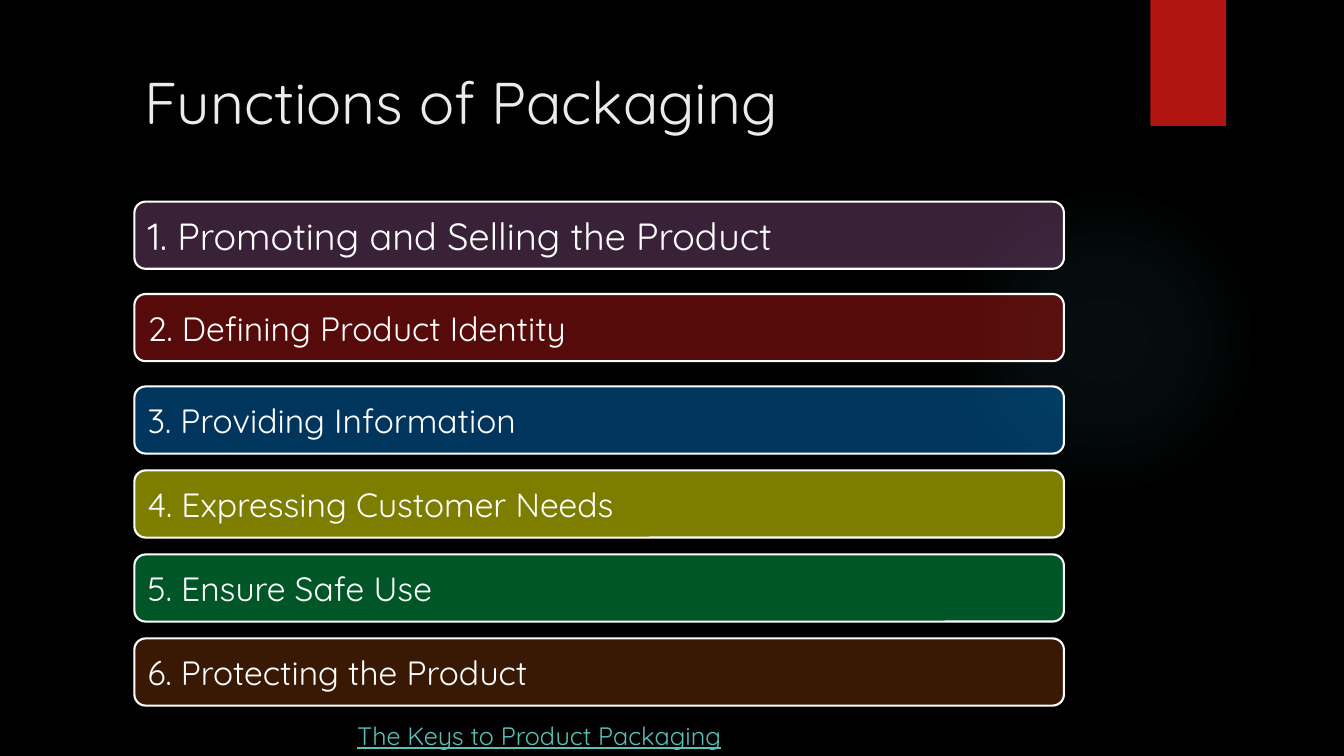
from pptx import Presentation
from pptx.dml.color import RGBColor
from pptx.enum.shapes import MSO_SHAPE
from pptx.enum.text import MSO_ANCHOR, PP_ALIGN
from pptx.oxml import parse_xml
from pptx.oxml.ns import nsdecls, qn
from pptx.util import Pt

OVAL, RECT, ROUNDED = MSO_SHAPE.OVAL, MSO_SHAPE.RECTANGLE, MSO_SHAPE.ROUNDED_RECTANGLE
MIDDLE, TOP, LEFT = MSO_ANCHOR.MIDDLE, MSO_ANCHOR.TOP, PP_ALIGN.LEFT
FONT = "Quicksand"
BAR_HEIGHT, BAR_OPACITY, HANGING = 48, 49, 40

# text, size, fill, top relative to the list
FUNCTIONS = [
    ("1. Promoting and Selling the Product", 27, "764674", 0),
    ("2. Defining Product Identity", 24, "B01513", 66),
    ("3. Providing Information", 24, "0070C0", 132),
    ("4. Expressing Customer Needs", 24, "FFFF00", 192),
    ("5. Ensure Safe Use", 24, "00B050", 252),
    ("6. Protecting the Product", 24, "753209", 312),
]


def rgb(color):
    return RGBColor.from_string(color)


def add_box(slide, kind, x, y, w, h, color):
    sp = slide.shapes.add_shape(kind, Pt(x), Pt(y), Pt(w), Pt(h))
    sp.shadow.inherit = False
    sp.fill.solid()
    sp.fill.fore_color.rgb = rgb(color)
    sp.line.fill.background()
    return sp


def write(sp, text, size, color, anchor):
    tf = sp.text_frame
    tf.word_wrap = True
    tf.vertical_anchor = anchor
    p = tf.paragraphs[0]
    p.text = text
    p.alignment = LEFT
    p.font.name = FONT
    p.font.size = Pt(size)
    p.font.color.rgb = rgb(color)
    return p


def add_text(slide, x, y, w, h, text, size, color, anchor=TOP):
    sp = slide.shapes.add_textbox(Pt(x), Pt(y), Pt(w), Pt(h))
    return write(sp, text, size, color, anchor)


def add_glow(slide, x, y, size, color):
    """Faint round light that fades out towards its edge."""
    sp = add_box(slide, OVAL, x, y, size, size, color)
    stops = "".join(
        f'<a:gs pos="{pos * 1000}"><a:srgbClr val="{color}">'
        f'<a:alpha val="{opacity * 1000}"/></a:srgbClr></a:gs>'
        for pos, opacity in ((0, 7), (36, 6), (69, 0))
    )
    gradient = parse_xml(
        f'<a:gradFill {nsdecls("a")} rotWithShape="1"><a:gsLst>{stops}</a:gsLst>'
        '<a:path path="circle"><a:fillToRect l="50000" t="50000" r="50000" b="50000"/>'
        "</a:path></a:gradFill>"
    )
    solid = sp._element.spPr.find(qn("a:solidFill"))
    solid.getparent().replace(solid, gradient)


def add_function_list(slide, x, y, w):
    for text, size, color, top in FUNCTIONS:
        sp = add_box(slide, ROUNDED, x, y + top, w, BAR_HEIGHT, color)
        sp.line.color.rgb = rgb("FFFFFF")
        sp.line.width = Pt(1.5)
        clr = sp._element.spPr.find(qn("a:solidFill"))[0]
        clr.append(parse_xml(f'<a:alpha {nsdecls("a")} val="{BAR_OPACITY * 1000}"/>'))
        p = write(sp, text, size, "FFFFFF", MIDDLE)
        pPr = p._p.get_or_add_pPr()
        pPr.set("marL", str(Pt(HANGING)))
        pPr.set("indent", str(-Pt(HANGING)))


def main():
    prs = Presentation()
    prs.slide_width, prs.slide_height = Pt(960), Pt(540)
    slide = prs.slides.add_slide(prs.slide_layouts[6])
    slide.background.fill.solid()
    slide.background.fill.fore_color.rgb = rgb("000000")

    add_glow(slide, 677.5, 132, 222, "50B9C1")
    add_box(slide, RECT, 821.75, 0, 54, 90, "B01513")
    add_text(slide, 96, 42, 688, 60, "Functions of Packaging", 42, "EBEBEB", MIDDLE)
    add_function_list(slide, 96, 144, 664)
    p = add_text(slide, 248, 511, 360, 29, "The Keys to Product Packaging", 18, "58C1BA")
    p.font.underline = True

    prs.save("out.pptx")


if __name__ == "__main__":
    main()
